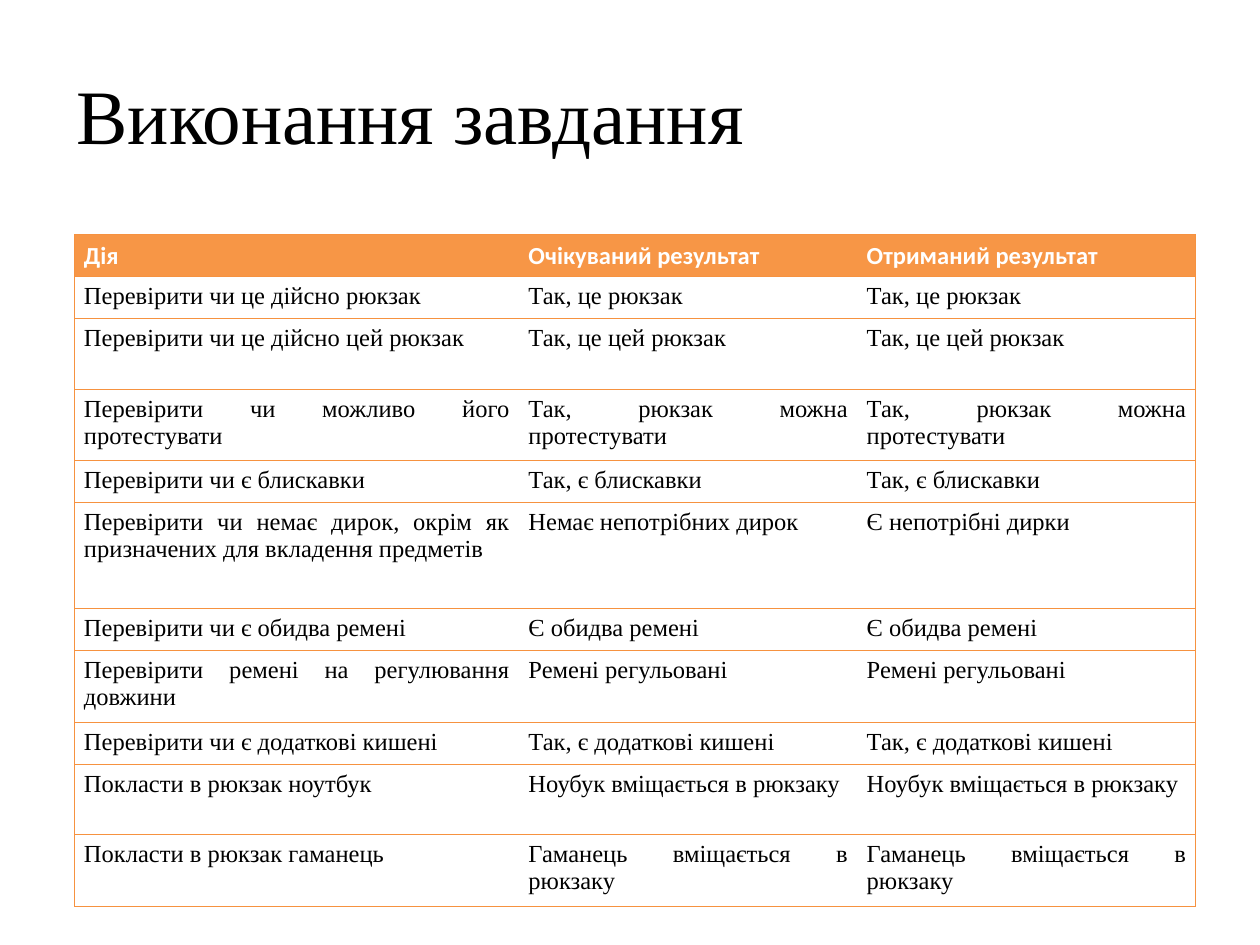
from lxml import etree
from pptx import Presentation
from pptx.dml.color import RGBColor
from pptx.enum.text import MSO_ANCHOR, PP_ALIGN
from pptx.oxml.ns import qn
from pptx.util import Pt

MIDDLE = MSO_ANCHOR.MIDDLE
LEFT, JUSTIFY = PP_ALIGN.LEFT, PP_ALIGN.JUSTIFY
SERIF, SANS = "Times New Roman", "Calibri"
BLACK, WHITE, ORANGE, BORDER = "000000", "FFFFFF", "F79646", "F69240"
BORDER_WIDTH = Pt(0.34)
LINE_HEIGHT = 20.16
COLUMN_WIDTHS = (254, 193.3, 193.3)
MARGINS = {"margin_left": Pt(5.4), "margin_right": Pt(5.4),
           "margin_top": Pt(3.6), "margin_bottom": Pt(3.6)}

TITLE_FONT = {"name": SERIF, "size": Pt(44), "bold": False}
HEADER_FONT = {"name": SANS, "size": Pt(14), "bold": True}
BODY_FONT = {"name": SERIF, "size": Pt(14), "bold": False}

HEADERS = ("Дія", "Очікуваний результат", "Отриманий результат")
CHECKS = [
    (1, "Перевірити чи це дійсно рюкзак", "Так, це рюкзак"),
    (2, "Перевірити чи це дійсно цей рюкзак", "Так, це цей рюкзак"),
    (2, "Перевірити чи можливо його протестувати", "Так, рюкзак можна протестувати"),
    (1, "Перевірити чи є блискавки", "Так, є блискавки"),
    (3, "Перевірити чи немає дирок, окрім як призначених для вкладення предметів",
     "Немає непотрібних дирок"),
    (1, "Перевірити чи є обидва ремені", "Є обидва ремені"),
    (2, "Перевірити ремені на регулювання довжини", "Ремені регульовані"),
    (1, "Перевірити чи є додаткові кишені", "Так, є додаткові кишені"),
    (2, "Покласти в рюкзак ноутбук", "Ноубук вміщається в рюкзаку"),
    (2, "Покласти в рюкзак гаманець", "Гаманець вміщається в рюкзаку"),
]
FAILED = {"Немає непотрібних дирок": "Є непотрібні дирки"}


def rgb(color):
    return RGBColor.from_string(color)


def set_attrs(obj, values):
    for name, value in values.items():
        setattr(obj, name, value)


def write_text(tf, text, font, color, align):
    p = tf.paragraphs[0]
    p.alignment = align
    r = p.add_run()
    r.text = text
    set_attrs(r.font, font)
    r.font.color.rgb = rgb(color)


def add_title(s, text):
    sp = s.shapes.add_textbox(Pt(36.72), Pt(20.16), Pt(648), Pt(90))
    tf = sp.text_frame
    set_attrs(tf, {"word_wrap": True, "vertical_anchor": MIDDLE})
    write_text(tf, text, TITLE_FONT, BLACK, LEFT)


def set_borders(cell, visible):
    tc_pr = cell._tc.get_or_add_tcPr()
    for side in "LRTB":
        ln = etree.SubElement(tc_pr, qn(f"a:ln{side}"), w=str(BORDER_WIDTH))
        if side in visible:
            fill = etree.SubElement(ln, qn("a:solidFill"))
            etree.SubElement(fill, qn("a:srgbClr"), val=BORDER)
        else:
            etree.SubElement(ln, qn("a:noFill"))


def format_cell(cell, text, is_header, sides):
    set_attrs(cell, MARGINS)
    set_borders(cell, sides)
    if is_header:
        cell.fill.solid()
        cell.fill.fore_color.rgb = rgb(ORANGE)
        write_text(cell.text_frame, text, HEADER_FONT, WHITE, JUSTIFY)
    else:
        cell.fill.background()
        write_text(cell.text_frame, text, BODY_FONT, BLACK, JUSTIFY)


def add_checks_table(s):
    rows = [(1, *HEADERS)]
    rows += [(n, action, expected, FAILED.get(expected, expected))
             for n, action, expected in CHECKS]
    height = LINE_HEIGHT * sum(row[0] for row in rows)
    frame = s.shapes.add_table(len(rows), len(COLUMN_WIDTHS), Pt(42.6), Pt(134),
                               Pt(sum(COLUMN_WIDTHS)), Pt(height))
    table = frame.table
    table.horz_banding = False
    for column, width in zip(table.columns, COLUMN_WIDTHS):
        column.width = Pt(width)
    for i, (lines, *texts) in enumerate(rows):
        table.rows[i].height = Pt(LINE_HEIGHT * lines)
        for j, (text, sides) in enumerate(zip(texts, ("LTB", "TB", "RTB"))):
            format_cell(table.cell(i, j), text, i == 0, sides)


def main():
    prs = Presentation()
    set_attrs(prs, {"slide_width": Pt(720), "slide_height": Pt(540)})
    s = prs.slides.add_slide(prs.slide_layouts[6])
    add_title(s, "Виконання завдання")
    add_checks_table(s)
    prs.save("out.pptx")


if __name__ == "__main__":
    main()
